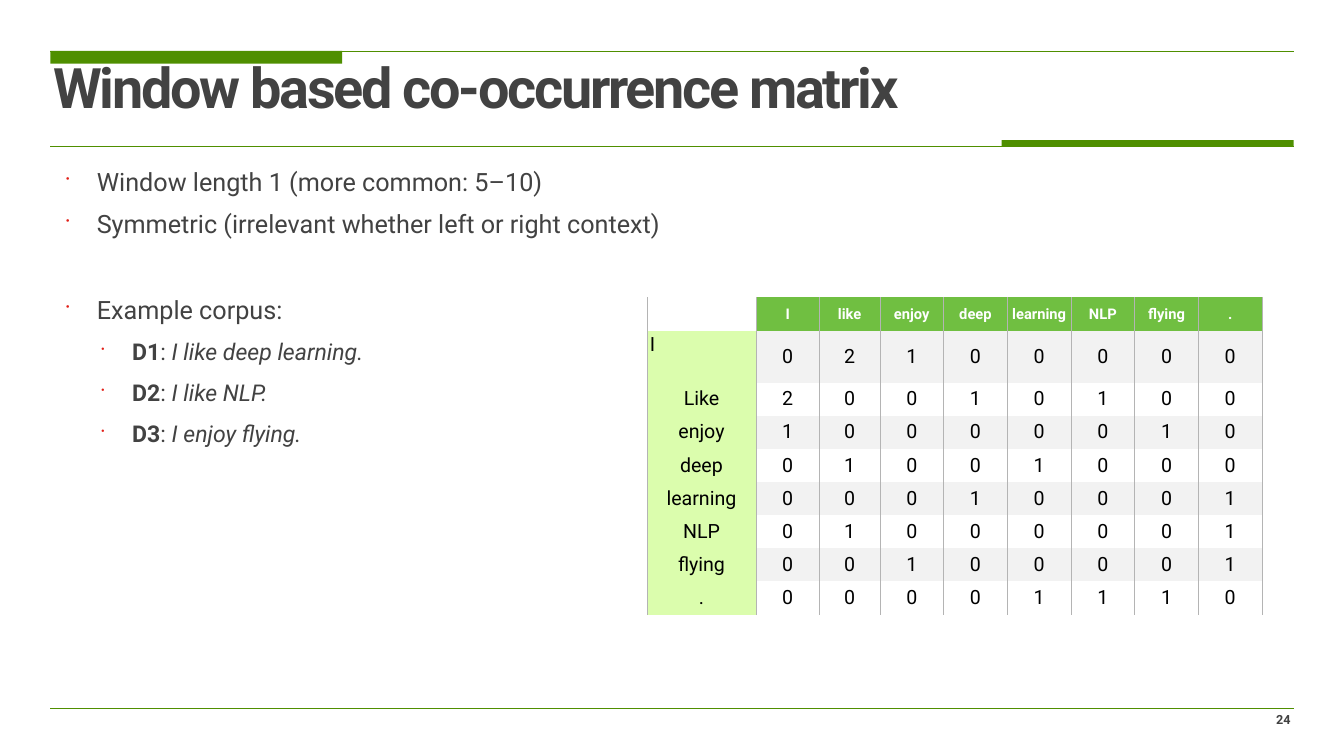
from lxml import etree
from pptx import Presentation
from pptx.dml.color import RGBColor
from pptx.enum.shapes import MSO_CONNECTOR, MSO_SHAPE
from pptx.enum.text import MSO_ANCHOR as ANCHOR, MSO_AUTO_SIZE, PP_ALIGN as ALIGN
from pptx.oxml.ns import qn
from pptx.util import Cm, Pt

GREEN = RGBColor(0x4F, 0x8F, 0x00)
HEADER_GREEN = RGBColor(0x70, 0xBF, 0x41)
LABEL_GREEN = RGBColor(0xDB, 0xFD, 0xAD)
BAND_GRAY = RGBColor(0xF2, 0xF2, 0xF2)
RULE_GRAY = RGBColor(0xB4, 0xB4, 0xB4)
TEXT_GRAY = RGBColor(0x42, 0x42, 0x42)
BULLET_RED = RGBColor(0xE2, 0x20, 0x18)
BLACK = RGBColor(0, 0, 0)
WHITE = RGBColor(0xFF, 0xFF, 0xFF)

LEFT, RIGHT = 2.54, 65.2
BAR_W = 14.71

BULLETS = [  # level, space before in points, (text, style) runs
    (0, 0, [("Window length 1 (more common: 5–10)", "")]),
    (0, 35, [("Symmetric (irrelevant whether left or right context)", "")]),
    (0, 96, [("Example corpus:", "")]),
    (1, 35, [("D1", "b"), (": ", ""), ("I like deep learning.", "i")]),
    (1, 35, [("D2", "b"), (": ", ""), ("I like NLP.", "i")]),
    (1, 35, [("D3", "b"), (": ", ""), ("I enjoy flying.", "i")]),
]
HEADER = ["", "I", "like", "enjoy", "deep", "learning", "NLP", "flying", "."]
LABELS = ["I", "Like"] + HEADER[3:]
COUNTS = ["02100000", "20010100", "10000010", "01001000",
          "00010001", "01000001", "00100001", "00001110"]


def add_child(parent, tag, **attrs):
    child = etree.SubElement(parent, qn(tag))
    for name, value in attrs.items():
        child.set(name, str(value))
    return child


class SlideBuilder:
    font = "Roboto"
    inset = Cm(0.15)

    def __init__(self, slide):
        self.s = slide

    def style(self, font, size, color, bold=None):
        font.name, font.size, font.bold = self.font, Pt(size), bold
        font.color.rgb = color

    def frame(self, sp, anchor=ANCHOR.TOP):
        """Set wrapping, insets and anchor of a shape's text."""
        tf = sp.text_frame
        tf.word_wrap, tf.auto_size = True, MSO_AUTO_SIZE.NONE
        tf.margin_left = tf.margin_right = self.inset
        tf.margin_top = tf.margin_bottom = self.inset
        tf.vertical_anchor = anchor
        return tf

    def rule(self, y, width):
        line = self.s.shapes.add_connector(
            MSO_CONNECTOR.STRAIGHT, Cm(LEFT), Cm(y), Cm(RIGHT), Cm(y))
        line.line.color.rgb, line.line.width = GREEN, Pt(width)
        add_child(line._element.spPr, "a:effectLst")

    def bar(self, x, y, h):
        sp = self.s.shapes.add_shape(
            MSO_SHAPE.RECTANGLE, Cm(x), Cm(y), Cm(BAR_W), Cm(h))
        sp.shadow.inherit = False
        sp.fill.solid()
        sp.fill.fore_color.rgb = GREEN
        sp.line.fill.background()

    def title(self, text):
        sp = self.s.shapes.title
        sp.left, sp.top, sp.width, sp.height = Cm(LEFT), Cm(3.18), Cm(62.69), Cm(3.63)
        p = self.frame(sp).paragraphs[0]
        p.alignment, p.line_spacing = ALIGN.LEFT, 0.8
        self.style(p.font, 79.7, TEXT_GRAY, True)
        r = p.add_run()
        r.text = text
        r._r.get_or_add_rPr().set("spc", "-320")

    def page_number(self, text):
        sp = self.s.shapes.add_textbox(Cm(61.14), Cm(35.74), Cm(4.06), Cm(1.07))
        p = self.frame(sp, ANCHOR.BOTTOM).paragraphs[0]
        p.text, p.alignment = text, ALIGN.RIGHT
        self.style(p.font, 18, TEXT_GRAY, True)

    def bullets(self, items):
        sp = self.s.shapes.add_textbox(Cm(3.18), Cm(8.76), Cm(32.54), Cm(25.96))
        tf = self.frame(sp)
        for i, (level, before, runs) in enumerate(items):
            p = tf.add_paragraph() if i else tf.paragraphs[0]
            p.level = level
            pPr = p._p.get_or_add_pPr()
            pPr.set("marL", str(Cm(1.55 + 1.78 * level)))
            pPr.set("indent", str(-Cm(1.55)))
            add_child(add_child(pPr, "a:buClr"), "a:srgbClr", val=BULLET_RED)
            add_child(pPr, "a:buSzPct", val=40000)
            add_child(pPr, "a:buChar", char="•")
            p.line_spacing, p.space_before = 0.6, Pt(before)
            self.style(p.font, 33 if level else 36, TEXT_GRAY)
            for text, emphasis in runs:
                r = p.add_run()
                r.text = text
                if emphasis == "b":
                    r.font.bold = True
                elif emphasis == "i":
                    r.font.italic = True

    def cell(self, cell, text, fill, size=28, color=BLACK, bold=False):
        cell.margin_left = cell.margin_right = self.inset
        cell.margin_top = cell.margin_bottom = self.inset
        cell.vertical_anchor = ANCHOR.MIDDLE
        if fill is None:
            cell.fill.background()
        else:
            cell.fill.solid()
            cell.fill.fore_color.rgb = fill
        p = cell.text_frame.paragraphs[0]
        p.text, p.alignment = text, ALIGN.CENTER
        self.style(p.font, size, color, bold)
        self.borders(cell._tc.get_or_add_tcPr())

    def borders(self, tcPr):
        """Rule the left and right sides only."""
        for i, side in enumerate(("a:lnL", "a:lnR", "a:lnT", "a:lnB")):
            ln = add_child(tcPr, side, w=Pt(1))
            if i < 2:
                add_child(add_child(ln, "a:solidFill"), "a:srgbClr", val=RULE_GRAY)
            else:
                add_child(ln, "a:noFill")
            tcPr.insert(i, ln)

    def matrix(self, header, labels, counts):
        widths = [5.49, 3.2, 3.05] + [3.21] * 6
        heights = [1.67, 2.62] + [1.67] * 7
        table = self.s.shapes.add_table(
            len(heights), len(widths), Cm(32.61), Cm(14.99),
            Cm(sum(widths)), Cm(sum(heights))).table
        for column, width in zip(table.columns, widths):
            column.width = Cm(width)
        for row, height in zip(table.rows, heights):
            row.height = Cm(height)
        for c, text in enumerate(header):
            self.cell(table.cell(0, c), text, HEADER_GREEN if c else WHITE,
                      21, WHITE, True)
        for r, (label, values) in enumerate(zip(labels, counts), 1):
            self.cell(table.cell(r, 0), label, LABEL_GREEN)
            for c, value in enumerate(values, 1):
                self.cell(table.cell(r, c), value, BAND_GRAY if r % 2 else None)
        first = table.cell(1, 0)
        first.vertical_anchor = ANCHOR.TOP
        first.text_frame.paragraphs[0].alignment = ALIGN.LEFT


def main():
    prs = Presentation()
    prs.slide_width, prs.slide_height = Cm(67.74), Cm(38.1)
    b = SlideBuilder(prs.slides.add_slide(prs.slide_layouts[5]))
    for y, width in ((2.59, 2), (35.71, 1.5), (7.37, 2)):
        b.rule(y, width)
    b.bar(LEFT, 2.57, 0.64)
    b.bar(RIGHT - BAR_W, 7.06, 0.33)
    b.page_number("24")
    b.title("Window based co-occurrence matrix")
    b.bullets(BULLETS)
    b.matrix(HEADER, LABELS, COUNTS)
    prs.save("out.pptx")


if __name__ == "__main__":
    main()
